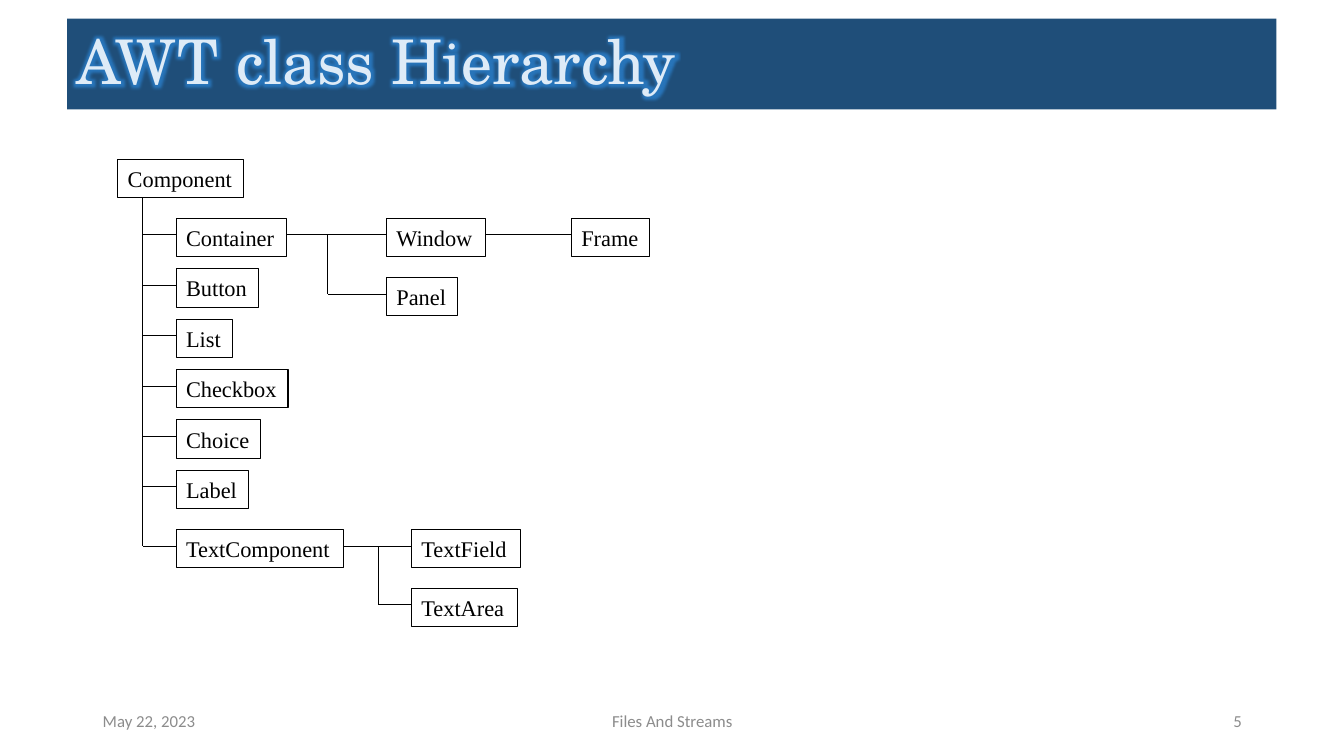
from lxml import etree
from pptx import Presentation
from pptx.dml.color import RGBColor
from pptx.enum.shapes import MSO_CONNECTOR, MSO_SHAPE
from pptx.enum.text import MSO_ANCHOR, PP_ALIGN
from pptx.oxml.ns import qn
from pptx.util import Cm, Pt

RECTANGLE = MSO_SHAPE.RECTANGLE
STRAIGHT = MSO_CONNECTOR.STRAIGHT
MIDDLE = MSO_ANCHOR.MIDDLE
LEFT, CENTER, RIGHT = PP_ALIGN.LEFT, PP_ALIGN.CENTER, PP_ALIGN.RIGHT

# Class boxes, in cm
BOX_HEIGHT = 0.97
WIRE_DROP = 0.42  # wires meet a box this far below its top
CHILD_LEFT, CHILD_TOP, CHILD_STEP = 4.44, 5.5, 1.27
CHILDREN = [("Container", 2.77), ("Button", 2.08), ("List", 1.42),
            ("Checkbox", 2.82), ("Choice", 2.13), ("Label", 1.83)]
TEXT_TOP = 13.34
WINDOW_LEFT, PANEL_TOP, FRAME_LEFT = 9.74, 6.99, 14.4
FIELD_LEFT, AREA_TOP = 10.37, 14.82


def color(hex_string):
    return RGBColor.from_string(hex_string)


def write(shape, text, font, size, hex_color, align=LEFT):
    frame = shape.text_frame
    frame.text = text
    frame.vertical_anchor = MIDDLE
    para = frame.paragraphs[0]
    para.alignment = align
    span = para.runs[0]
    span.font.name = font
    span.font.size = Pt(size)
    span.font.color.rgb = color(hex_color)
    return span


def add_rectangle(page, left, top, width, height, fill):
    box = page.shapes.add_shape(RECTANGLE, Cm(left), Cm(top), Cm(width), Cm(height))
    box.shadow.inherit = False
    box.fill.solid()
    box.fill.fore_color.rgb = color(fill)
    return box


def add_glow(span, radius, hex_color):
    fill = span.font._element.find(qn("a:solidFill"))
    effects = etree.Element(qn("a:effectLst"))
    glow = etree.SubElement(effects, qn("a:glow"), rad=str(radius))
    shade = etree.SubElement(glow, qn("a:srgbClr"), val=hex_color)
    etree.SubElement(shade, qn("a:alpha"), val="60000")
    fill.addnext(effects)


def add_title(page, text):
    banner = add_rectangle(page, 1.69, 0.47, 30.48, 2.29, "1F4E79")
    banner.line.fill.background()
    banner.text_frame.word_wrap = True
    span = write(banner, text, "TeX Gyre Schola", 44, "DEEBF7")
    banner.text_frame.paragraphs[0].line_spacing = 0.9
    add_glow(span, Pt(8), "2E8FE6")


def add_footer(page, text, left, width, align):
    box = page.shapes.add_textbox(Cm(left), Cm(17.65), Cm(width), Cm(1.02))
    box.text_frame.word_wrap = True
    write(box, text, "Calibri", 12, "8C8C8C", align)


def add_class(page, name, left, top, width):
    box = add_rectangle(page, left, top, width, BOX_HEIGHT, "FFFFFF")
    box.line.color.rgb = color("000000")
    box.line.width = Pt(0.75)
    box.text_frame.word_wrap = False
    write(box, name, "Times New Roman", 16, "000000")


def add_wire(page, x1, y1, x2, y2):
    wire = page.shapes.add_connector(STRAIGHT, Cm(x1), Cm(y1), Cm(x2), Cm(y2))
    wire.line.color.rgb = color("000000")
    wire.line.width = Pt(0.75)
    etree.SubElement(wire._element.spPr, qn("a:effectLst"))


def add_branch(page, trunk, start, child_left, child_tops):
    """A vertical trunk with one horizontal wire to each child."""
    ends = [top + WIRE_DROP for top in child_tops]
    add_wire(page, trunk, start, trunk, ends[-1])
    for end in ends:
        add_wire(page, trunk, end, child_left, end)


def main():
    deck = Presentation()
    deck.slide_width, deck.slide_height = Cm(33.87), Cm(19.05)
    page = deck.slides.add_slide(deck.slide_layouts[6])

    add_title(page, "AWT class Hierarchy")

    # Column of direct subclasses
    children = [(name, CHILD_LEFT, CHILD_TOP + CHILD_STEP * row, width)
                for row, (name, width) in enumerate(CHILDREN)]
    children.append(("TextComponent", CHILD_LEFT, TEXT_TOP, 4.22))

    # Wires
    container_y = CHILD_TOP + WIRE_DROP
    text_y = TEXT_TOP + WIRE_DROP
    add_branch(page, 3.6, 4.99, CHILD_LEFT, [top for _, _, top, _ in children])
    add_branch(page, 8.26, container_y, WINDOW_LEFT, [CHILD_TOP, PANEL_TOP])
    add_branch(page, 9.53, text_y, FIELD_LEFT, [TEXT_TOP, AREA_TOP])
    add_wire(page, 7.21, container_y, 8.26, container_y)
    add_wire(page, 12.23, container_y, FRAME_LEFT, container_y)
    add_wire(page, 8.66, text_y, 9.53, text_y)

    # Class boxes
    classes = [("Component", 2.97, 4.02, 3.18)] + children + [
        ("Window", WINDOW_LEFT, CHILD_TOP, 2.49),
        ("Panel", WINDOW_LEFT, PANEL_TOP, 1.78),
        ("Frame", FRAME_LEFT, CHILD_TOP, 1.98),
        ("TextField", FIELD_LEFT, TEXT_TOP, 2.74),
        ("TextArea", FIELD_LEFT, AREA_TOP, 2.67),
    ]
    for name, left, top, width in classes:
        add_class(page, name, left, top, width)

    # Footer
    add_footer(page, "May 22, 2023", 2.34, 7.62, LEFT)
    add_footer(page, "Files And Streams", 11.23, 11.43, CENTER)
    add_footer(page, "5", 23.93, 7.62, RIGHT)

    deck.save("out.pptx")


if __name__ == "__main__":
    main()
